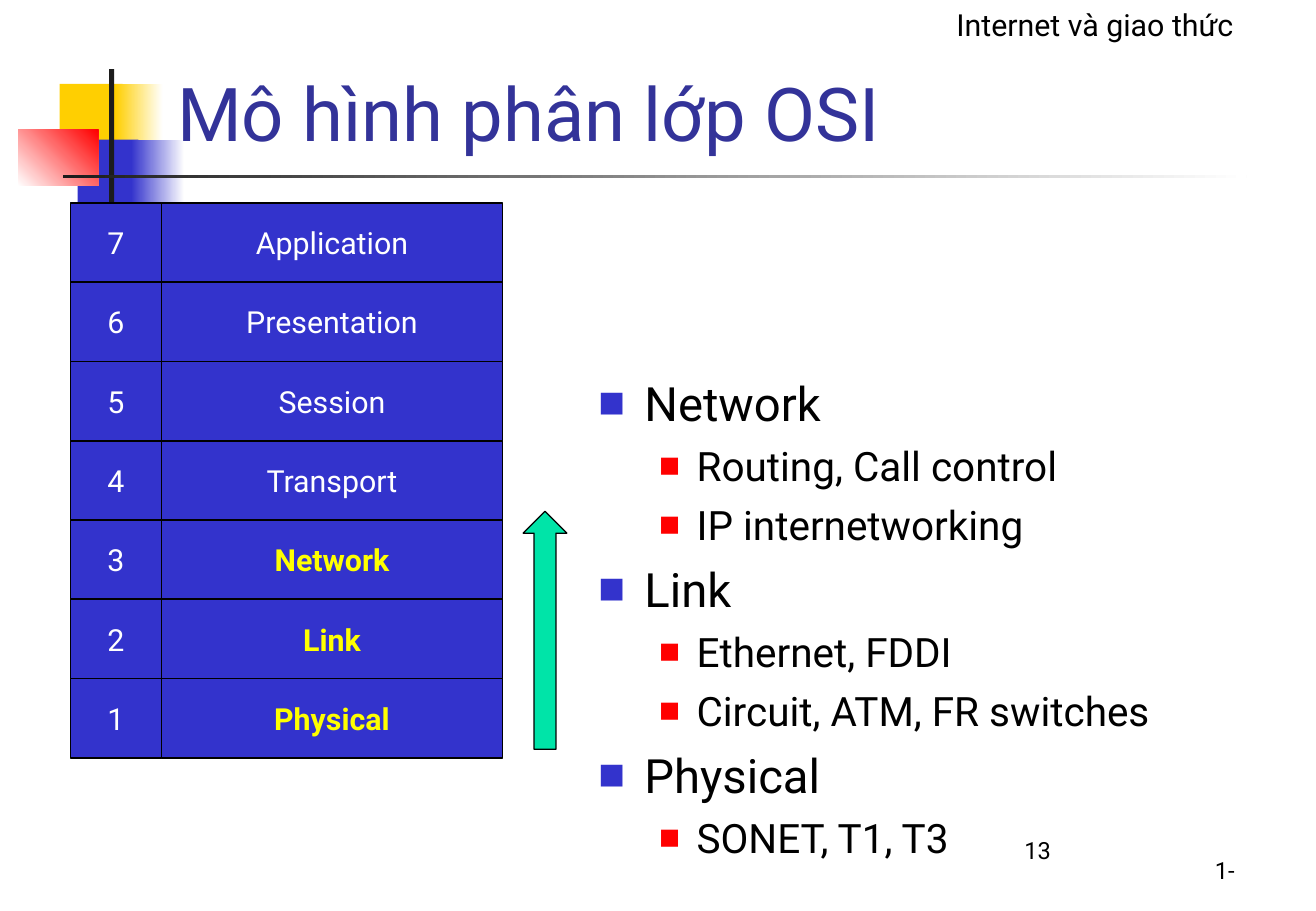
from dataclasses import dataclass

from lxml import etree
from pptx import Presentation
from pptx.dml.color import RGBColor
from pptx.enum import shapes, text
from pptx.oxml import ns
from pptx.util import Inches, Pt


@dataclass(frozen=True)
class Theme:
    font: str = "Roboto"
    blue: str = "3333CC"
    navy: str = "333399"
    gold: str = "FFCF01"
    yellow: str = "FFFF00"
    red: str = "FF0000"
    green: str = "00E4A8"
    dark: str = "1C1C1C"
    black: str = "000000"
    white: str = "FFFFFF"
    head: int = 44
    large: int = 28
    mid: int = 24
    base: int = 18
    small: int = 14


T = Theme()
SIZE = (10.84, 7.5)
TITLE = "Mô hình phân lớp OSI"
LAYERS = ["Application", "Presentation", "Session", "Transport",
          "Network", "Link", "Physical"]
ACTIVE = {"Network", "Link", "Physical"}
TOPICS = [
    ("Network", ["Routing, Call control", "IP internetworking"]),
    ("Link", ["Ethernet, FDDI", "Circuit, ATM, FR switches"]),
    ("Physical", ["SONET, T1, T3"]),
]
LABELS = [
    ("Internet và giao thức", (7.78, 0, 2.66, 0.4), T.base),
    ("1-", (9.91, 7, 0.43, 0.34), T.small),
    ("13", (8.34, 6.83, 2.26, 0.5), T.small),
]
DECOR = [
    ((0.49, 0.69, 0.52, 0.52), [T.gold], 0),
    ((0.95, 0.69, 0.39, 0.52), [T.gold, T.white], 0),
    ((0.64, 1.15, 0.5, 0.52), [T.blue], 0),
    ((1.08, 1.15, 0.44, 0.52), [T.blue, T.white], 0),
    ((0.15, 1.07, 0.66, 0.46), [T.white, T.red], 45),
    ((0.9, 0.57, 0.04, 1.15), [T.dark], 0),
    ((0.52, 1.44, 9.75, 0.03), [T.dark, T.white], 0),
]
STACK = (0.58, 1.67)
COLS = (0.75, 2.81)
ROW = 4.57 / len(LAYERS)
LEVELS = [
    (T.large, T.blue, 60, 0.38, 0.38, 7),
    (T.mid, T.red, 55, 0.81, 0.31, 6),
]


def rgb(code):
    return RGBColor.from_string(code)


def style(par, size, color=T.black, bold=False):
    for run in par.runs:
        font = run.font
        font.name, font.size, font.bold = T.font, Pt(size), bold
        font.color.rgb = rgb(color)


def draw(slide, kind, box, fills, angle=0, line=None):
    item = slide.shapes.add_shape(kind, *map(Inches, box))
    item.shadow.inherit = False
    if len(fills) == 1:
        item.fill.solid()
        item.fill.fore_color.rgb = rgb(fills[0])
    else:
        item.fill.gradient()
        item.fill.gradient_angle = angle
        for stop, color in zip(item.fill.gradient_stops, fills):
            stop.color.rgb = rgb(color)
    if line:
        item.line.color.rgb = rgb(T.black)
        item.line.width = Pt(line)
    else:
        item.line.fill.background()
    return item


def write(slide, words, box, size):
    frame = slide.shapes.add_textbox(*map(Inches, box)).text_frame
    frame.word_wrap = True
    frame.text = words
    style(frame.paragraphs[0], size)


def cell(slide, words, box, color, bold):
    item = draw(slide, shapes.MSO_SHAPE.RECTANGLE, box, [T.blue], line=1)
    frame = item.text_frame
    frame.vertical_anchor = text.MSO_ANCHOR.MIDDLE
    frame.text = words
    par = frame.paragraphs[0]
    par.alignment = text.PP_ALIGN.CENTER
    style(par, T.base, color, bold)


def bullet(par, color, share, left, hang):
    props = par._p.get_or_add_pPr()
    props.set("marL", str(Inches(left)))
    props.set("indent", str(-Inches(hang)))
    tint = etree.SubElement(props, ns.qn("a:buClr"))
    etree.SubElement(tint, ns.qn("a:srgbClr"), val=color)
    etree.SubElement(props, ns.qn("a:buSzPct"), val=str(share * 1000))
    etree.SubElement(props, ns.qn("a:buFont"), typeface=T.font)
    etree.SubElement(props, ns.qn("a:buChar"), char="■")


def outline(slide):
    box = slide.shapes.add_textbox(*map(Inches, (4.83, 3.03, 4.92, 4.47)))
    frame = box.text_frame
    frame.word_wrap = True
    rows = [row for topic, items in TOPICS
            for row in [(0, topic)] + [(1, item) for item in items]]
    for num, (level, words) in enumerate(rows):
        par = frame.add_paragraph() if num else frame.paragraphs[0]
        size, color, share, left, hang, gap = LEVELS[level]
        par.text = words
        par.level = level
        if num:
            par.space_before = Pt(gap)
        bullet(par, color, share, left, hang)
        style(par, size)


def head(slide):
    title = slide.shapes.title
    title.left, title.top, title.width, title.height = map(
        Inches, (1.36, 0.23, 9.23, 1.11))
    frame = title.text_frame
    frame.text = TITLE
    frame.word_wrap = True
    frame.auto_size = text.MSO_AUTO_SIZE.NONE
    frame.vertical_anchor = text.MSO_ANCHOR.BOTTOM
    frame.paragraphs[0].alignment = text.PP_ALIGN.LEFT
    style(frame.paragraphs[0], T.head, T.navy)
    title.element.getparent().append(title.element)


def main():
    deck = Presentation()
    deck.slide_width, deck.slide_height = map(Inches, SIZE)
    slide = deck.slides.add_slide(deck.slide_layouts[5])
    for box, fills, angle in DECOR:
        draw(slide, shapes.MSO_SHAPE.RECTANGLE, box, fills, angle)
    head(slide)
    for words, box, size in LABELS:
        write(slide, words, box, size)
    outline(slide)
    left, top = STACK
    for row, name in enumerate(LAYERS):
        y = top + row * ROW
        bold = name in ACTIVE
        color = T.yellow if bold else T.white
        cell(slide, name, (left + COLS[0], y, COLS[1], ROW), color, bold)
        num = str(len(LAYERS) - row)
        cell(slide, num, (left, y, COLS[0], ROW), T.white, False)
    arrow = draw(slide, shapes.MSO_SHAPE.UP_ARROW,
                 (4.31, 4.21, 0.36, 1.96), [T.green], line=0.75)
    arrow.adjustments[0] = arrow.adjustments[1] = 0.5
    deck.save("out.pptx")


if __name__ == "__main__":
    main()
